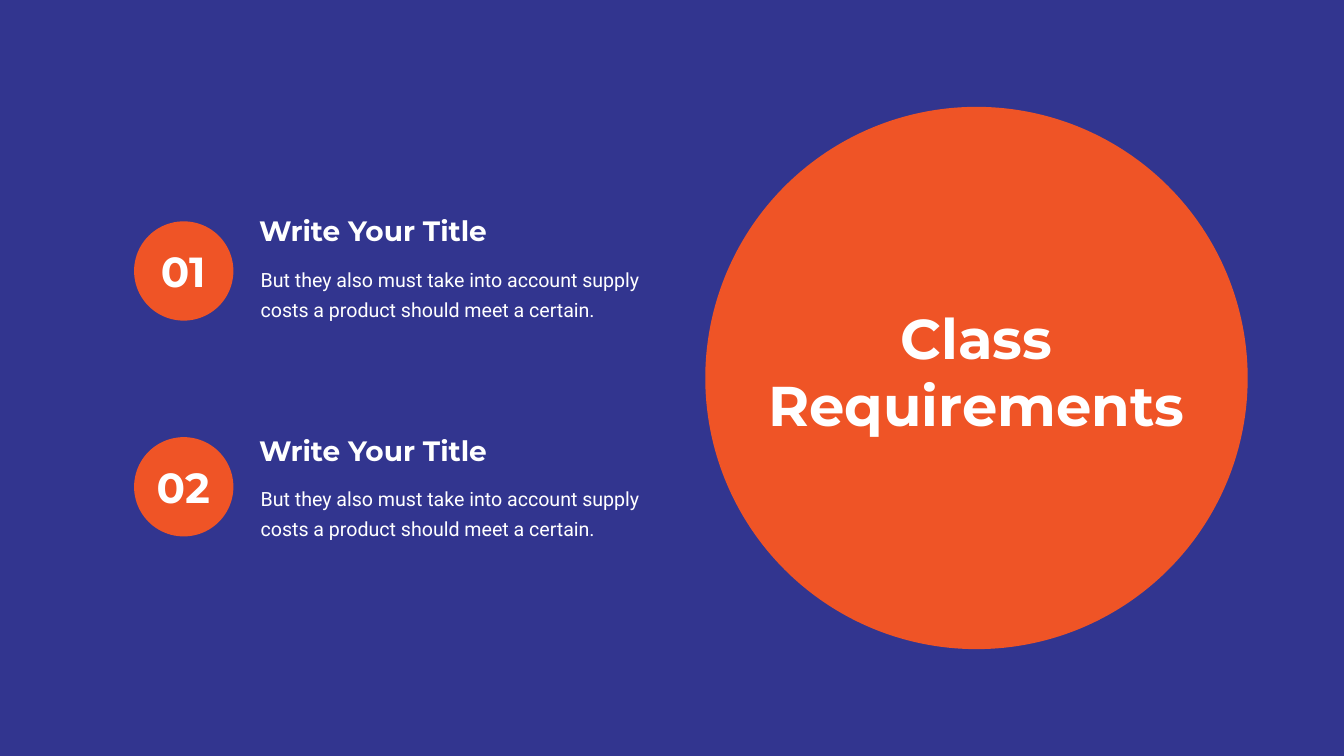
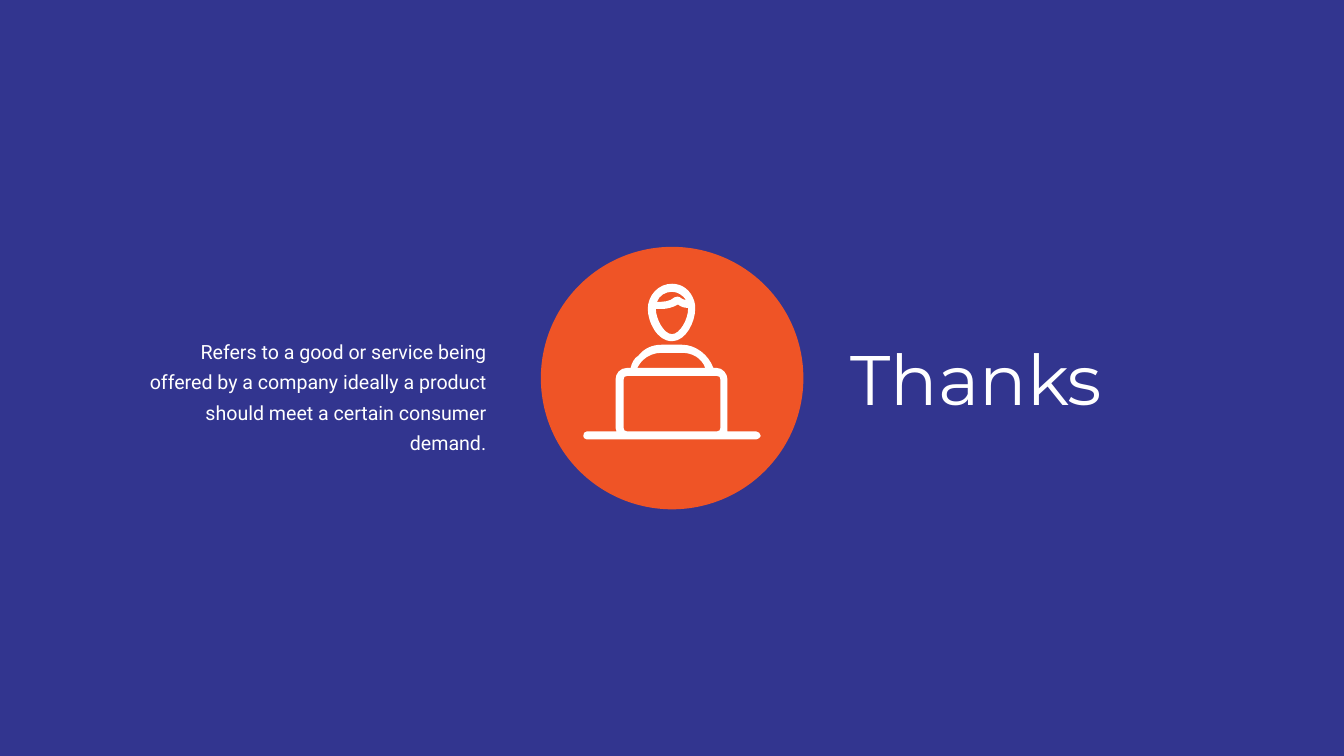
from dataclasses import dataclass

from pptx import Presentation
from pptx.dml.color import RGBColor
from pptx.enum.shapes import MSO_SHAPE as Preset
from pptx.enum.text import MSO_AUTO_SIZE as AutoSize, PP_ALIGN as Align
from pptx.oxml import parse_xml
from pptx.oxml.ns import nsdecls, qn
from pptx.slide import Slide
from pptx.util import Pt

Point = tuple[float, float]
Contour = list[tuple[Point, ...]]


@dataclass(frozen=True)
class TextStyle:
    font: str
    size: float
    bold: bool = False
    align: Align = Align.LEFT
    line: float | None = None
    inset: Point = (7.2, 3.6)


@dataclass(frozen=True)
class Theme:
    navy: RGBColor = RGBColor(0x32, 0x35, 0x8F)
    orange: RGBColor = RGBColor(0xEF, 0x54, 0x26)
    white: RGBColor = RGBColor(0xFF, 0xFF, 0xFF)
    width: float = 1919.52
    height: float = 1080
    headline: TextStyle = TextStyle("Montserrat", 80, True, Align.CENTER)
    closing: TextStyle = TextStyle("Montserrat", 100)
    subtitle: TextStyle = TextStyle("Montserrat", 40, True)
    number: TextStyle = TextStyle("Montserrat", 60, True, Align.CENTER)
    body: TextStyle = TextStyle("Roboto", 28, line=43, inset=(17.28, 8.64))
    body_right: TextStyle = TextStyle("Roboto", 28, align=Align.RIGHT, line=43,
                                      inset=(17.28, 8.64))


@dataclass(frozen=True)
class Box:
    left: float
    top: float
    width: float
    height: float

    def down(self, distance: float) -> "Box":
        return Box(self.left, self.top + distance, self.width, self.height)

    def lengths(self) -> tuple[Pt, Pt, Pt, Pt]:
        return Pt(self.left), Pt(self.top), Pt(self.width), Pt(self.height)


@dataclass(frozen=True)
class Requirement:
    number: str
    title: str
    detail: str


@dataclass(frozen=True)
class IconPart:
    left: float
    top: float
    contours: list[Contour]


THEME = Theme()
BADGE_PITCH = 308.3
TEXT_PITCH = 313.5
ICON_UNIT = 0.72

DETAIL = "But they also must take into account supply costs a product should meet a certain."
REQUIREMENTS = [
    Requirement("01", "Write Your Title", DETAIL),
    Requirement("02", "Write Your Title", DETAIL),
]

HEAD = IconPart(925.2, 405.36, [
    [((48, 0),),
     ((21, 0), (0, 23), (0, 50)),
     ((0, 75), (18, 114), (48, 114)),
     ((76, 114), (94, 75), (94, 50)),
     ((94, 45), (94, 39), (92, 34)),
     ((85, 13), (69, 0), (48, 0))],
    [((48, 16),),
     ((60, 16), (69, 23), (76, 32)),
     ((69, 32), (64, 27), (64, 27)),
     ((62, 25), (57, 25), (53, 27)),
     ((44, 36), (28, 36), (18, 36)),
     ((23, 23), (35, 16), (48, 16))],
    [((48, 100),),
     ((32, 100), (16, 70), (16, 50)),
     ((18, 50), (23, 50), (28, 50)),
     ((37, 50), (48, 48), (60, 41)),
     ((64, 45), (71, 48), (80, 48)),
     ((80, 50),),
     ((80, 70), (64, 100), (48, 100))],
])
DESK = IconPart(833.04, 492.48, [
    [((343, 172),),
     ((286, 172),),
     ((286, 169), (286, 167), (286, 165)),
     ((286, 69),),
     ((286, 57), (276, 46), (265, 46)),
     ((258, 46),),
     ((249, 21), (224, 0), (196, 0)),
     ((155, 0),),
     ((137, 0), (121, 7), (110, 21)),
     ((100, 27), (96, 37), (94, 46)),
     ((87, 46),),
     ((73, 46), (64, 57), (64, 69)),
     ((64, 165),),
     ((64, 167), (64, 169), (66, 172)),
     ((7, 172),),
     ((2, 172), (0, 176), (0, 181)),
     ((0, 183), (2, 188), (7, 188)),
     ((343, 188),),
     ((347, 188), (352, 183), (352, 181)),
     ((352, 176), (347, 172), (343, 172))],
    [((119, 30),),
     ((128, 21), (142, 16), (155, 16)),
     ((196, 16),),
     ((217, 16), (235, 27), (242, 46)),
     ((107, 46),),
     ((110, 41), (114, 34), (119, 30))],
    [((87, 172),),
     ((82, 172), (80, 169), (80, 165)),
     ((80, 69),),
     ((80, 64), (82, 62), (87, 62)),
     ((265, 62),),
     ((270, 62), (272, 64), (272, 69)),
     ((272, 165),),
     ((272, 169), (270, 172), (265, 172))],
])


def paint(shape, color: RGBColor) -> None:
    shape.shadow.inherit = False
    shape.fill.solid()
    shape.fill.fore_color.rgb = color
    shape.line.fill.background()


def add_preset(slide: Slide, preset: Preset, box: Box, color: RGBColor) -> None:
    paint(slide.shapes.add_shape(preset, *box.lengths()), color)


def add_text(slide: Slide, box: Box, text: str, style: TextStyle) -> None:
    frame = slide.shapes.add_textbox(*box.lengths()).text_frame
    frame.word_wrap = True
    frame.auto_size = AutoSize.SHAPE_TO_FIT_TEXT
    frame.margin_left = frame.margin_right = Pt(style.inset[0])
    frame.margin_top = frame.margin_bottom = Pt(style.inset[1])
    paragraph = frame.paragraphs[0]
    paragraph.alignment = style.align
    if style.line:
        paragraph.line_spacing = Pt(style.line)
    run = paragraph.add_run()
    run.text = text
    run.font.name = style.font
    run.font.size = Pt(style.size)
    run.font.bold = style.bold
    run.font.color.rgb = THEME.white


def icon_point(point: Point) -> tuple[Pt, Pt]:
    return Pt(point[0] * ICON_UNIT), Pt(point[1] * ICON_UNIT)


def bend(shape, segments: Contour) -> None:
    lines = list(shape.element.iter(qn("a:lnTo")))
    for line, segment in zip(lines, segments):
        if len(segment) == 3:
            points = "".join('<a:pt x="%d" y="%d"/>' % icon_point(point)
                             for point in segment)
            curve = parse_xml(f'<a:cubicBezTo {nsdecls("a")}>{points}</a:cubicBezTo>')
            line.getparent().replace(line, curve)


def add_icon_part(slide: Slide, part: IconPart) -> None:
    builder = slide.shapes.build_freeform(*icon_point(part.contours[0][0][0]))
    for index, (start, *segments) in enumerate(part.contours):
        if index:
            builder.move_to(*icon_point(start[0]))
        builder.add_line_segments([icon_point(segment[-1]) for segment in segments],
                                  close=True)
    shape = builder.convert_to_shape(Pt(part.left), Pt(part.top))
    bend(shape, [segment for contour in part.contours for segment in contour[1:]])
    paint(shape, THEME.white)


def add_navy_slide(deck) -> Slide:
    slide = deck.slides.add_slide(deck.slide_layouts[6])
    add_preset(slide, Preset.RECTANGLE, Box(0, 0, THEME.width, THEME.height), THEME.navy)
    return slide


def add_requirement(slide: Slide, row: int, item: Requirement) -> None:
    badge_shift, text_shift = row * BADGE_PITCH, row * TEXT_PITCH
    add_text(slide, Box(354.96, 364.3, 586.08, 100.08).down(text_shift),
             item.detail, THEME.body)
    add_text(slide, Box(362.88, 301.9, 343.44, 55.44).down(text_shift),
             item.title, THEME.subtitle)
    add_preset(slide, Preset.OVAL, Box(191.52, 316.2, 141.84, 141.84).down(badge_shift),
               THEME.orange)
    add_text(slide, Box(190.8, 347.2, 141.84, 79.92).down(badge_shift),
             item.number, THEME.number)


def build_requirements(deck) -> None:
    slide = add_navy_slide(deck)
    add_preset(slide, Preset.OVAL, Box(1007.28, 152.64, 774.72, 774.72), THEME.orange)
    add_text(slide, Box(1073.52, 430.2, 642.24, 200.88), "Class Requirements",
             THEME.headline)
    for row, item in enumerate(REQUIREMENTS):
        add_requirement(slide, row, item)


def build_thanks(deck) -> None:
    slide = add_navy_slide(deck)
    add_text(slide, Box(1207.9, 475.92, 450, 128.16), "Thanks", THEME.closing)
    add_preset(slide, Preset.OVAL, Box(772.4, 352.6, 375, 375), THEME.orange)
    for part in (HEAD, DESK):
        add_icon_part(slide, part)
    add_text(slide, Box(175.2, 468, 536.4, 144),
             "Refers to a good or service being offered by a company ideally a product "
             "should meet a certain consumer demand.", THEME.body_right)


def main() -> None:
    deck = Presentation()
    deck.slide_width, deck.slide_height = Pt(THEME.width), Pt(THEME.height)
    build_requirements(deck)
    build_thanks(deck)
    deck.save("out.pptx")


if __name__ == "__main__":
    main()
